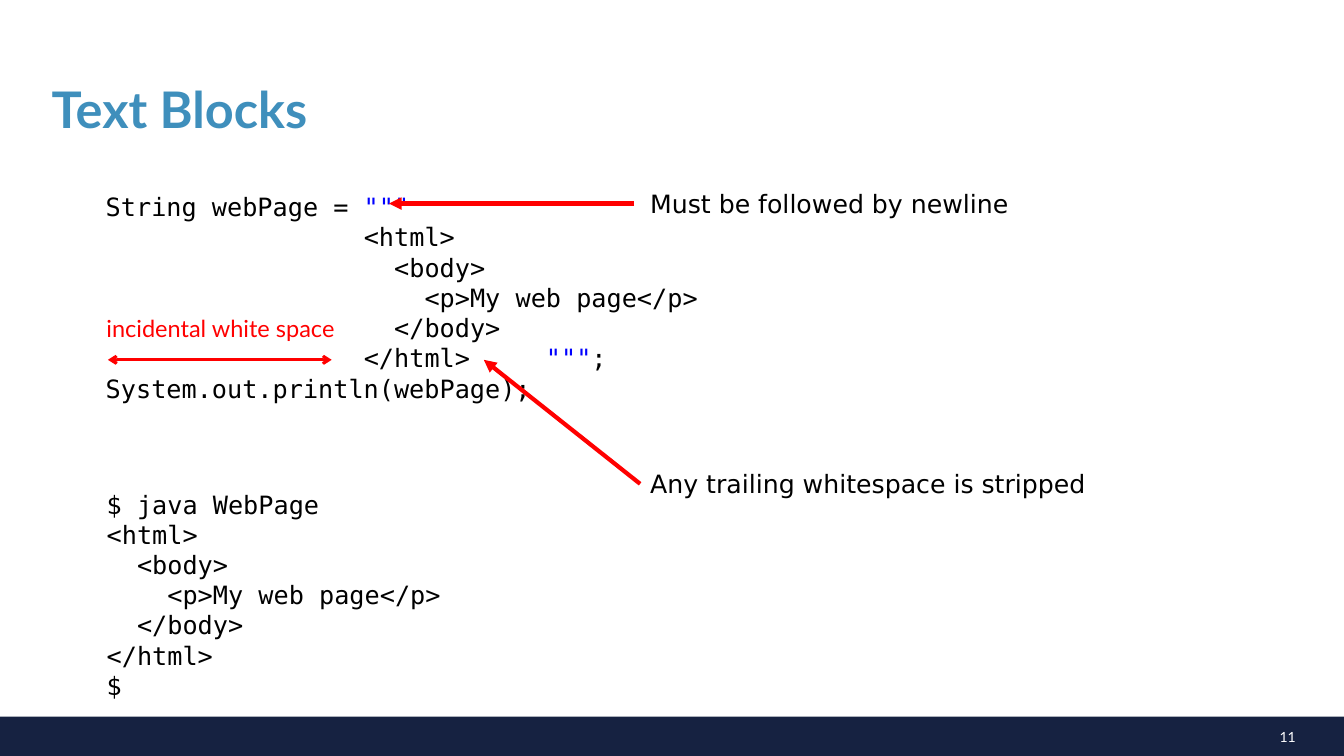
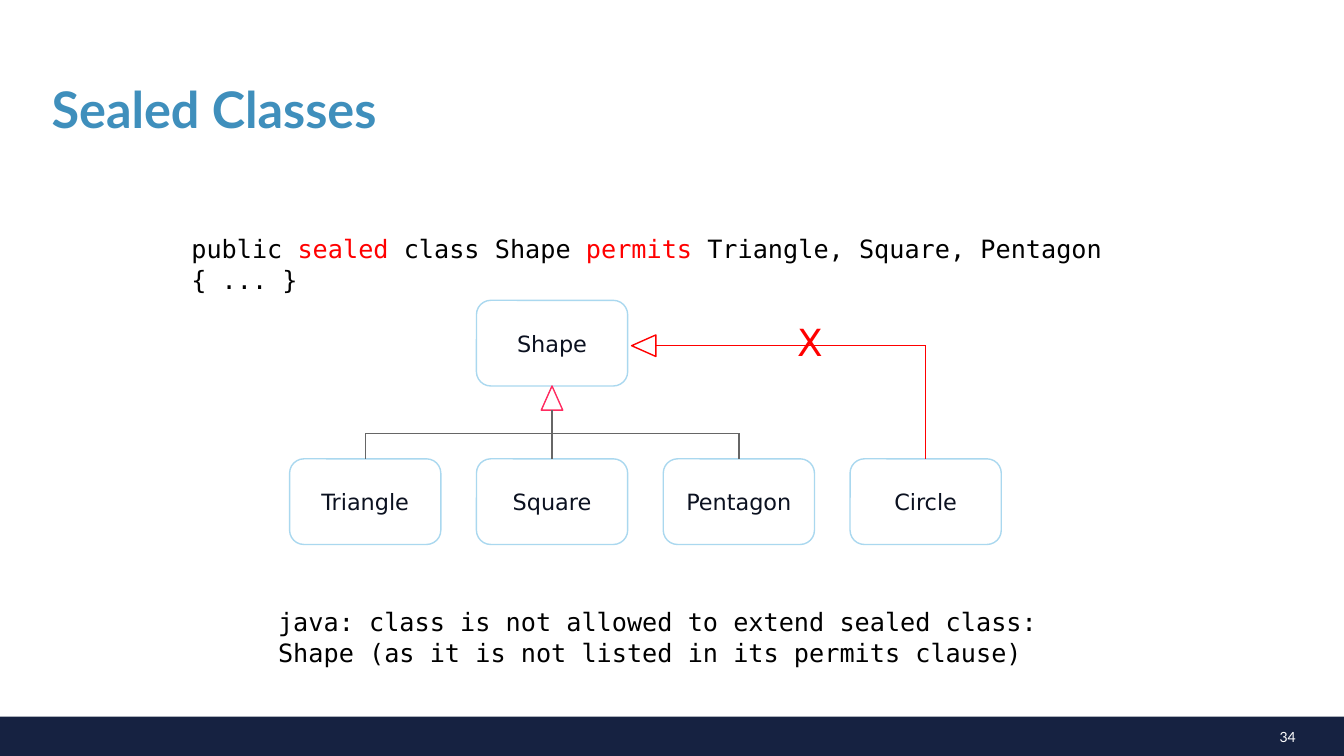
import pptx
import pptx.util
import pptx.dml.color
import pptx.enum.shapes
import pptx.enum.text
import pptx.oxml.ns
import lxml.etree

W, H = pptx.util.Inches(13.33), pptx.util.Inches(7.5)
COLORS = {"band": "162241", "title": "3F8FBC", "white": "FFFFFF",
          "black": "000000", "string": "0000FF", "red": "FF0000",
          "node": "AAD8EF", "label": "0B1120", "pink": "FF2B60",
          "gray": "666666"}
SANS, MONO, LATO = "DejaVu Sans", "DejaVu Sans Mono", "Lato"
CHAR = 10.84  # width in points of one 18 pt code character
SHAPES = pptx.enum.shapes.MSO_SHAPE
ALIGN = pptx.enum.text.PP_ALIGN
ANCHOR = pptx.enum.text.MSO_ANCHOR


# Lengths are percentages of the slide's width and height
def x(share):
    return int(W * share / 100)


def y(share):
    return int(H * share / 100)


def place(left, top, width, height):
    return x(left), y(top), x(width), y(height)


def rgb(name):
    return pptx.dml.color.RGBColor.from_string(COLORS[name])


def sub(parent, tag, **attrs):
    return lxml.etree.SubElement(parent, pptx.oxml.ns.qn(tag), attrs)


# Text
def add_run(p, text, size=18, font=MONO, color="black", bold=False):
    r = p.add_run()
    r.text = text
    r.font.size = pptx.util.Pt(size)
    r.font.name = font
    r.font.bold = bold
    r.font.color.rgb = rgb(color)


def add_text(s, box, text, align=ALIGN.LEFT, anchor=ANCHOR.TOP,
             spacing=None, **font):
    """Add a text box; text is a string or a list of (string, color)."""
    tf = s.shapes.add_textbox(*place(*box)).text_frame
    tf.word_wrap = True
    tf.vertical_anchor = anchor
    p = tf.paragraphs[0]
    p.alignment = align
    p.line_spacing = spacing
    if isinstance(text, str):
        add_run(p, text, **font)
    else:
        for part, color in text:
            add_run(p, part, color=color, **font)
    return tf


def add_code(s, box, lines):
    """Add code; a line lists (column, text, color), column None joins on."""
    tf = s.shapes.add_textbox(*place(*box)).text_frame
    tf.word_wrap = True
    for i, line in enumerate(lines):
        p = tf.paragraphs[0] if i == 0 else tf.add_paragraph()
        columns = [column for column, _, _ in line if column]
        if columns:
            tabs = sub(p._p.get_or_add_pPr(), "a:tabLst")
            for column in columns:
                pos = pptx.util.Pt(column * CHAR)
                sub(tabs, "a:tab", pos=str(int(pos)), algn="l")
        for column, text, color in line:
            add_run(p, ("\t" if column else "") + text, color=color)


def html_lines(indent):
    page = ["<html>", "<body>", "<p>My web page</p>", "</body>", "</html>"]
    return [[(indent + 2 * depth, text, "black")]
            for depth, text in zip([0, 1, 2, 1, 0], page)]


# Shapes and lines
def add_shape(s, kind, box, fill=None, line=None):
    sp = s.shapes.add_shape(kind, *place(*box))
    sp.shadow.inherit = False
    if fill:
        sp.fill.solid()
        sp.fill.fore_color.rgb = rgb(fill)
    else:
        sp.fill.background()
    if line:
        sp.line.color.rgb = rgb(line)
        sp.line.width = pptx.util.Pt(1)
    else:
        sp.line.fill.background()
    return sp


def add_line(s, start, end, color="red", width=1, head=None, tail=None):
    c = s.shapes.add_connector(pptx.enum.shapes.MSO_CONNECTOR.STRAIGHT,
                               x(start[0]), y(start[1]), x(end[0]), y(end[1]))
    c.line.color.rgb = rgb(color)
    c.line.width = pptx.util.Pt(width)
    for tag, kind in (("a:headEnd", head), ("a:tailEnd", tail)):
        if kind:
            sub(c.line._get_or_add_ln(), tag, type=kind)
    sub(c._element.spPr, "a:effectLst")


def add_node(s, left, top, name):
    sp = add_shape(s, SHAPES.ROUNDED_RECTANGLE,
                   (left, top, NODE_W, NODE_H), line="node")
    tf = sp.text_frame
    tf.word_wrap = False
    tf.vertical_anchor = ANCHOR.MIDDLE
    p = tf.paragraphs[0]
    p.alignment = ALIGN.CENTER
    add_run(p, name, size=16, font=SANS, color="label")


# What the slides share
def add_slide(prs, title, number):
    s = prs.slides.add_slide(prs.slide_layouts[6])
    add_shape(s, SHAPES.RECTANGLE, (0, 94.8, 100, 5.2), fill="band")
    add_text(s, (71.8, 95.73, 25.35, 3.6), number, align=ALIGN.RIGHT,
             size=10, font=LATO, color="white")
    add_text(s, (3.1, 4.93, 94.05, 19.73), title, anchor=ANCHOR.MIDDLE,
             spacing=0.9, size=36, font=LATO, color="title", bold=True)
    return s


def text_blocks(prs):
    s = add_slide(prs, "Text Blocks", "11")

    # Source and its output
    source = html_lines(17)
    source[-1] += [(29, '"""', "string"), (None, ";", "black")]
    add_code(s, (7.13, 24.67, 49.9, 29.6),
             [[(None, "String webPage = ", "black"), (None, '"""', "string")]]
             + source + [[(None, "System.out.println(webPage);", "black")]])
    add_code(s, (7.2, 64, 32.5, 29.6),
             [[(None, "$ java WebPage", "black")]] + html_lines(0)
             + [[(None, "$", "black")]])

    # Incidental white space
    add_line(s, (8.03, 47.6), (24.68, 47.6), width=2,
             head="arrow", tail="arrow")
    add_text(s, (5.55, 40.93, 21.7, 5.07), "incidental white space",
             align=ALIGN.CENTER, size=16.8, font=LATO, color="red")

    # Notes with arrows into the code
    for note, top, start, end in (
            ("Must be followed by newline", 24.27,
             (47.18, 26.93), (28.95, 26.93)),
            ("Any trailing whitespace is stripped", 61.33,
             (47.63, 64), (36, 47.6))):
        add_line(s, start, end, width=3, tail="triangle")
        add_text(s, (47.63, top, 36, 5.33), note, font=SANS)


NODE_W, NODE_H, PITCH = 11.25, 11.33, 13.9
FIRST, PARENT_TOP, CHILD_TOP = 21.55, 39.73, 60.7
HEAD_W, HEAD_H = 1.6, 3.2


def sealed_classes(prs):
    s = add_slide(prs, "Sealed Classes", "34")
    add_text(s, (13.5, 30.27, 73.2, 9.47),
             [("public ", "black"), ("sealed", "red"),
              (" class Shape ", "black"), ("permits", "red"),
              (" Triangle, Square, Pentagon { ... }", "black")])

    # Class boxes
    lefts = [FIRST + PITCH * i for i in range(4)]
    triangle, square, pentagon, circle = [v + NODE_W / 2 for v in lefts]
    add_node(s, lefts[1], PARENT_TOP, "Shape")
    for left, name in zip(lefts, ("Triangle", "Square", "Pentagon", "Circle")):
        add_node(s, left, CHILD_TOP, name)

    # Permitted subclasses
    parent_bottom, bus = PARENT_TOP + NODE_H, 57.33
    add_shape(s, SHAPES.ISOSCELES_TRIANGLE,
              (square - HEAD_W / 2, parent_bottom, HEAD_W, HEAD_H),
              line="pink")
    for start, end in (
            ((triangle, bus), (pentagon, bus)),
            ((square, parent_bottom + HEAD_H), (square, CHILD_TOP)),
            ((triangle, bus), (triangle, CHILD_TOP)),
            ((pentagon, bus), (pentagon, CHILD_TOP))):
        add_line(s, start, end, color="gray")

    # Forbidden subclass
    link = 45.73
    head = add_shape(s, SHAPES.ISOSCELES_TRIANGLE,
                     (47.1, link - HEAD_H / 2, HEAD_W, HEAD_H), line="red")
    head.rotation = 270
    add_line(s, (48.83, link), (circle, link))
    add_line(s, (circle, link), (circle, CHILD_TOP))
    add_text(s, (58.58, 41.6, 4.13, 7.33), "X",
             size=26.7, font=SANS, color="red")

    # Compiler message
    add_text(s, (19.95, 79.6, 60.23, 9.47),
             "java: class is not allowed to extend sealed class: "
             "Shape (as it is not listed in its permits clause)")


def main():
    prs = pptx.Presentation()
    prs.slide_width, prs.slide_height = W, H
    text_blocks(prs)
    sealed_classes(prs)
    prs.save("out.pptx")


if __name__ == "__main__":
    main()
